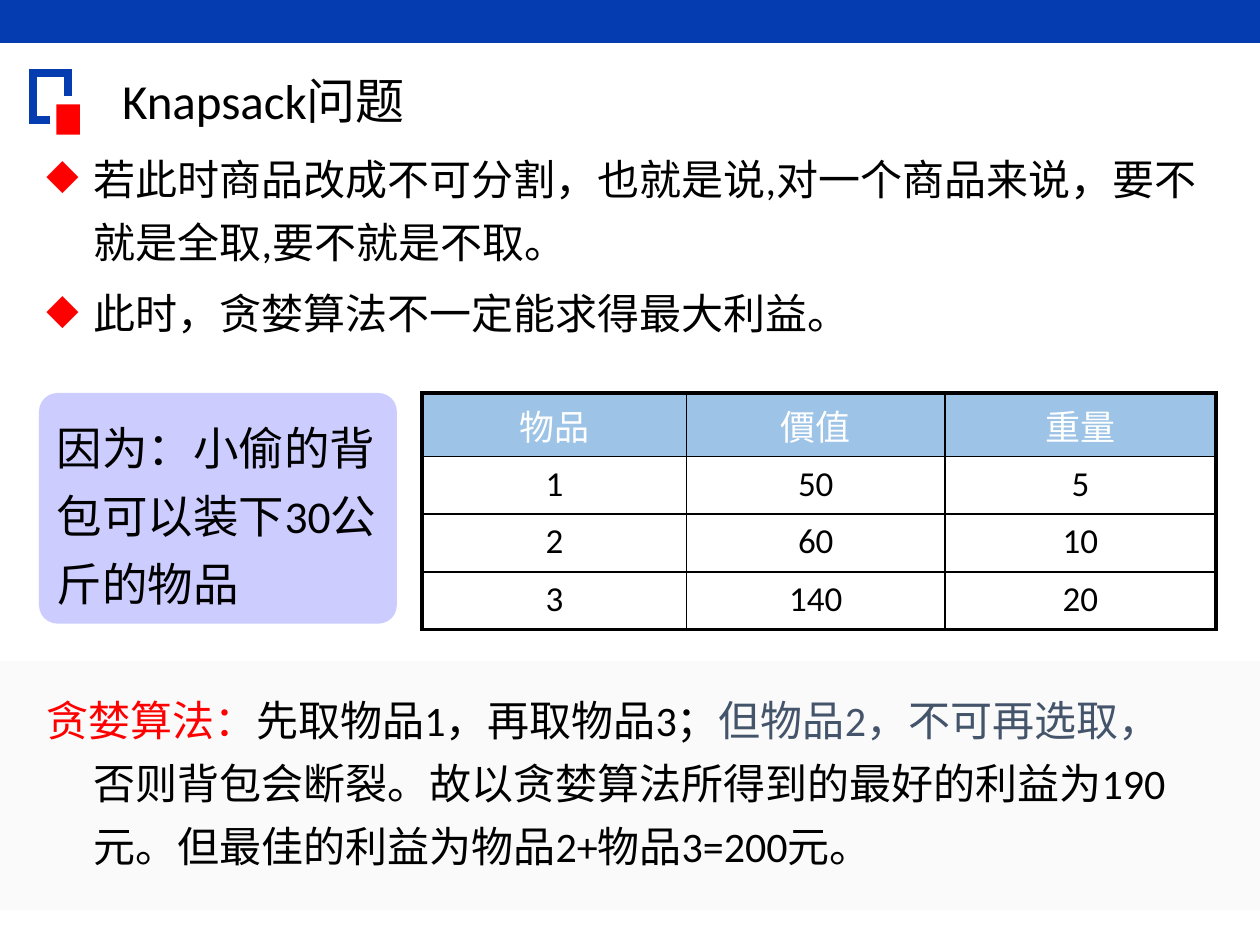
from dataclasses import dataclass

from lxml import etree
from pptx import Presentation
from pptx.dml.color import RGBColor
from pptx.enum import shapes, text
from pptx.oxml import ns
from pptx.util import Pt


@dataclass(frozen=True)
class Theme:
    font: str = "Calibri"
    blue: str = "053CAF"
    red: str = "FF0000"
    slate: str = "44546A"
    black: str = "000000"
    white: str = "FFFFFF"
    band: str = "FAFAFA"
    lilac: str = "CCCCFF"
    header: str = "9DC3E6"
    title_size: float = 28
    note_size: float = 26
    body_size: float = 24
    table_size: float = 20
    thin: float = 1
    thick: float = 2.25


THEME = Theme()
RECT = shapes.MSO_SHAPE.RECTANGLE
ROUNDED = shapes.MSO_SHAPE.ROUNDED_RECTANGLE
HANGING = 27
ITEMS = [("物品", "價值", "重量"), ("1", "50", "5"), ("2", "60", "10"), ("3", "140", "20")]
BULLETS = [
    "若此时商品改成不可分割，也就是说,对一个商品来说，要不就是全取,要不就是不取。",
    "此时，贪婪算法不一定能求得最大利益。",
]
CONCLUSION = [
    ("贪婪算法：", THEME.red),
    ("先取物品1，再取物品3；", THEME.black),
    ("但物品2，不可再选取，", THEME.slate),
    ("否则背包会断裂。故以贪婪算法所得到的最好的利益为190元。"
     "但最佳的利益为物品2+物品3=200元。", THEME.black),
]


def add_xml(parent, tag, **attributes):
    return etree.SubElement(parent, ns.qn(tag), attributes)


def style_font(font, size, color=THEME.black):
    font.name = THEME.font
    font.size = Pt(size)
    font.color.rgb = RGBColor.from_string(color)


def add_block(page, kind, left, top, width, height, color):
    block = page.shapes.add_shape(kind, Pt(left), Pt(top), Pt(width), Pt(height))
    block.shadow.inherit = False
    block.fill.solid()
    block.fill.fore_color.rgb = RGBColor.from_string(color)
    block.line.fill.background()
    return block


def format_para(para, hanging=0, bullet=None):
    """Left-align with wide lines, and optionally a hanging indent and bullet."""
    if hanging:
        props = para._p.get_or_add_pPr()
        props.set("marL", str(Pt(hanging)))
        props.set("indent", str(-Pt(hanging)))
        if bullet:
            add_xml(add_xml(props, "a:buClr"), "a:srgbClr", val=THEME.red)
            add_xml(props, "a:buChar", char=bullet)
    para.alignment = text.PP_ALIGN.LEFT
    para.line_spacing = 1.25


def add_corner_mark(page):
    points = [(28.8, 68.4), (18.7, 68.4), (18.7, 41.8), (38.9, 41.8), (38.9, 54.7)]
    corners = [(Pt(x), Pt(y)) for x, y in points]
    builder = page.shapes.build_freeform(*corners[0])
    builder.add_line_segments(corners[1:], close=False)
    bracket = builder.convert_to_shape()
    bracket.shadow.inherit = False
    bracket.fill.background()
    bracket.line.color.rgb = RGBColor.from_string(THEME.blue)
    bracket.line.width = Pt(4.5)
    add_xml(bracket.line._get_or_add_ln(), "a:miter", lim="800000")
    add_block(page, RECT, 32.2, 59.7, 13.5, 17.8, THEME.red)


def set_title(page, words):
    title = page.shapes.title
    title.left, title.top, title.width, title.height = Pt(62.6), Pt(36.7), Pt(266.4), Pt(40.3)
    title.text_frame.text = words
    title.text_frame.vertical_anchor = text.MSO_ANCHOR.MIDDLE
    para = title.text_frame.paragraphs[0]
    para.alignment = text.PP_ALIGN.LEFT
    style_font(para.runs[0].font, THEME.title_size)


def add_bullets(page, lines):
    box = add_block(page, RECT, 19.4, 77, 674.6, 136.8, THEME.white)
    frame = box.text_frame
    frame.word_wrap = True
    frame.vertical_anchor = text.MSO_ANCHOR.TOP
    frame.text = "\n".join(lines)
    for index, para in enumerate(frame.paragraphs):
        format_para(para, HANGING, "◆")
        if index:
            para.space_before = Pt(4.8)
        style_font(para.runs[0].font, THEME.body_size)


def add_note(page, words):
    note = add_block(page, ROUNDED, 22.3, 224.6, 204.5, 131.8, THEME.lilac)
    note.adjustments[0] = 0.08
    frame = note.text_frame
    frame.word_wrap = True
    frame.vertical_anchor = text.MSO_ANCHOR.MIDDLE
    frame.text = words
    format_para(frame.paragraphs[0])
    style_font(frame.paragraphs[0].runs[0].font, THEME.note_size)


def set_borders(cell, outer):
    """Draw all four sides, thick where the side is on the table's edge."""
    props = cell._tc.get_or_add_tcPr()
    for index, (side, is_outer) in enumerate(outer.items()):
        width = THEME.thick if is_outer else THEME.thin
        line = etree.Element(ns.qn(f"a:{side}"), w=str(Pt(width)))
        add_xml(add_xml(line, "a:solidFill"), "a:srgbClr", val=THEME.black)
        props.insert(index, line)


def add_item_table(page, rows):
    frame = page.shapes.add_table(len(rows), len(rows[0]), Pt(241.2), Pt(224.6), Pt(453.6), Pt(132))
    table = frame.table
    for column, width in zip(table.columns, (151.2, 147.6, 154.8)):
        column.width = Pt(width)
    for r, row in enumerate(rows):
        table.rows[r].height = Pt(33)
        for c, words in enumerate(row):
            cell = table.cell(r, c)
            cell.text_frame.text = words
            para = cell.text_frame.paragraphs[0]
            para.alignment = text.PP_ALIGN.CENTER
            style_font(para.runs[0].font, THEME.table_size, THEME.black if r else THEME.white)
            if r:
                cell.fill.background()
            else:
                cell.fill.solid()
                cell.fill.fore_color.rgb = RGBColor.from_string(THEME.header)
            set_borders(cell, {"lnL": c == 0, "lnR": c == len(row) - 1,
                               "lnT": r == 0, "lnB": r == len(rows) - 1})


def add_conclusion(page, parts):
    box = page.shapes.add_textbox(Pt(19.4), Pt(386), Pt(674.6), Pt(116.6))
    box.text_frame.word_wrap = True
    para = box.text_frame.paragraphs[0]
    format_para(para, HANGING)
    for words, color in parts:
        span = para.add_run()
        span.text = words
        style_font(span.font, THEME.body_size, color)


def main():
    deck = Presentation()
    deck.slide_width, deck.slide_height = Pt(720), Pt(540)
    page = deck.slides.add_slide(deck.slide_layouts[5])
    add_block(page, RECT, 0, 0, 720, 24.5, THEME.blue)
    add_corner_mark(page)
    add_block(page, RECT, 0, 378, 720, 141.8, THEME.band)
    set_title(page, "Knapsack问题")
    add_bullets(page, BULLETS)
    add_note(page, "因为：小偷的背包可以装下30公斤的物品")
    add_item_table(page, ITEMS)
    add_conclusion(page, CONCLUSION)
    deck.save("out.pptx")


if __name__ == "__main__":
    main()
